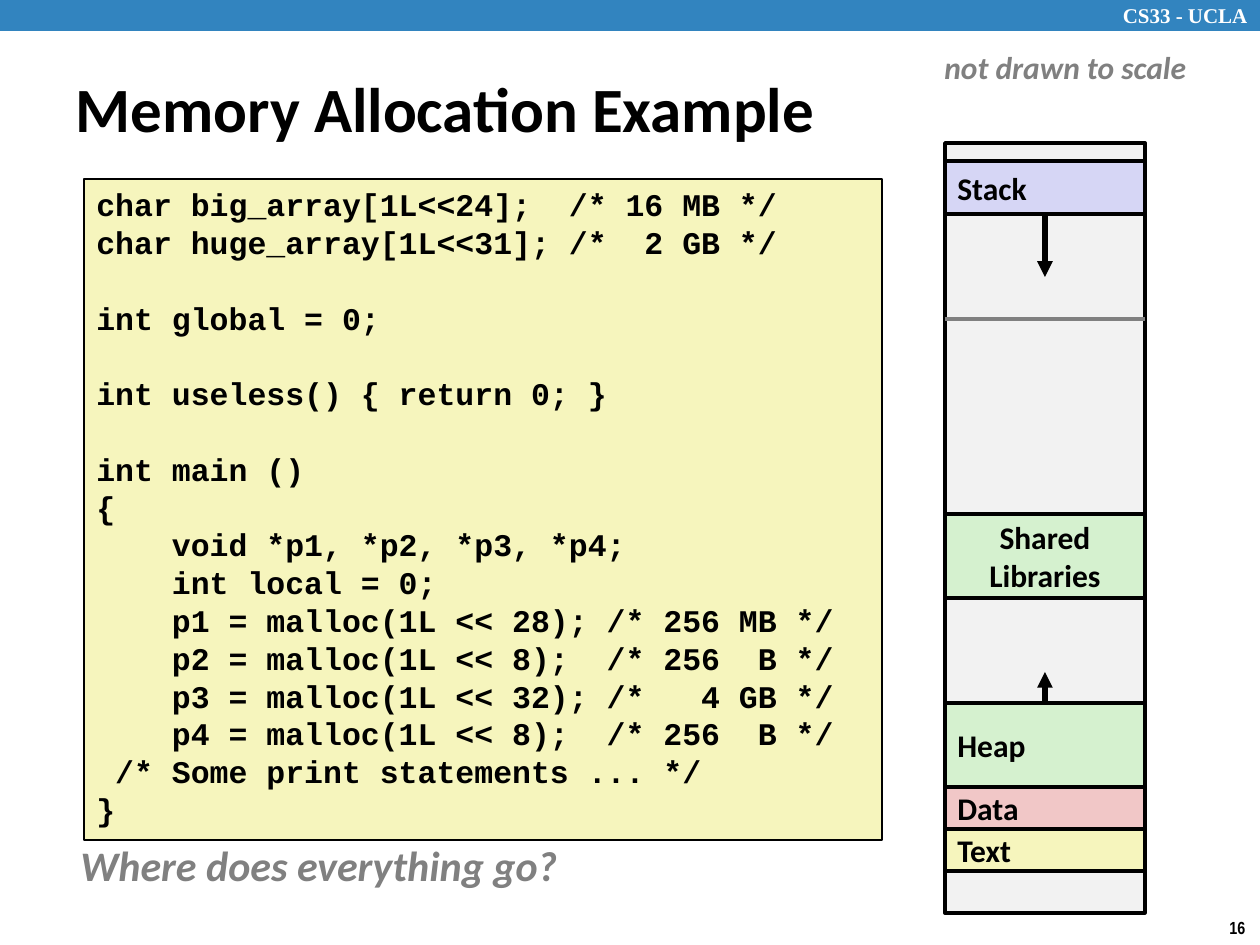
from dataclasses import dataclass

from lxml.etree import SubElement
from pptx import Presentation
from pptx.dml.color import RGBColor
from pptx.enum.shapes import MSO_CONNECTOR, MSO_SHAPE
from pptx.enum.text import MSO_ANCHOR, PP_ALIGN
from pptx.oxml.ns import qn
from pptx.util import Emu, Pt

PX = 914400 // 126


@dataclass(frozen=True)
class Theme:
    black: str = "000000"
    white: str = "FFFFFF"
    gray: str = "808080"
    blue: str = "3284BF"
    empty: str = "F2F2F2"
    lilac: str = "D6D6F5"
    yellow: str = "F6F5BD"
    pink: str = "F1C7C7"
    green: str = "D5F1CF"
    sans: str = "Calibri"
    mono: str = "Courier New"
    serif: str = "Times New Roman"
    narrow: str = "Arial Narrow"
    title: int = 36
    question: int = 24
    body: int = 18
    header: int = 12
    number: int = 10
    code_line: float = 21.6


T = Theme()


@dataclass(frozen=True)
class Box:
    x: int
    y: int
    w: int
    h: int

    def emu(self) -> list[Emu]:
        return [Emu(v * PX) for v in (self.x, self.y, self.w, self.h)]


@dataclass(frozen=True)
class Style:
    size: int = T.body
    font: str = T.sans
    color: str = T.black
    italic: bool = False


@dataclass(frozen=True)
class Segment:
    name: str
    y: int
    h: int
    fill: str
    align: PP_ALIGN = PP_ALIGN.LEFT


@dataclass(frozen=True)
class Label:
    text: str
    box: Box
    style: Style
    anchor: MSO_ANCHOR = MSO_ANCHOR.TOP
    align: PP_ALIGN = PP_ALIGN.LEFT
    wrap: bool = False


MEM_X, MEM_W = 945, 200
MEM_MID = MEM_X + MEM_W // 2
STACK_LIMIT_Y = 319
SEGMENTS = [
    Segment("", 143, 770, T.empty),
    Segment("Stack", 161, 53, T.lilac),
    Segment("Text", 829, 42, T.yellow),
    Segment("Data", 787, 42, T.pink),
    Segment("Heap", 703, 84, T.green),
    Segment("Shared\nLibraries", 514, 84, T.green, PP_ALIGN.CENTER),
]
LABELS = [
    Label("CS33 - UCLA", Box(1090, 0, 170, 31), Style(T.header, T.serif, T.white),
          MSO_ANCHOR.MIDDLE, PP_ALIGN.RIGHT, True),
    Label("16", Box(1217, 911, 43, 34), Style(T.number, T.narrow)),
    Label("not drawn to scale", Box(932, 42, 268, 50),
          Style(color=T.gray, italic=True)),
    Label("Where does everything go?", Box(68, 833, 507, 64),
          Style(T.question, color=T.gray, italic=True)),
]
CODE = """char big_array[1L<<24];  /* 16 MB */
char huge_array[1L<<31]; /*  2 GB */

int global = 0;

int useless() { return 0; }

int main ()
{
    void *p1, *p2, *p3, *p4;
    int local = 0;
    p1 = malloc(1L << 28); /* 256 MB */
    p2 = malloc(1L << 8);  /* 256  B */
    p3 = malloc(1L << 32); /*   4 GB */
    p4 = malloc(1L << 8);  /* 256  B */
 /* Some print statements ... */
}"""


def rgb(color: str) -> RGBColor:
    return RGBColor.from_string(color)


def write(tf, lines: list[str], style: Style, align=PP_ALIGN.LEFT) -> None:
    for i, line in enumerate(lines):
        p = tf.paragraphs[0] if i == 0 else tf.add_paragraph()
        p.text = line
        p.alignment = align
        f = p.font
        f.name, f.size, f.bold, f.italic = style.font, Pt(style.size), True, style.italic
        f.color.rgb = rgb(style.color)


def rect(s, box: Box, fill: str, line_pt: int = 0):
    sp = s.shapes.add_shape(MSO_SHAPE.RECTANGLE, *box.emu())
    sp.shadow.inherit = False
    sp.fill.solid()
    sp.fill.fore_color.rgb = rgb(fill)
    if line_pt:
        sp.line.color.rgb = rgb(T.black)
        sp.line.width = Pt(line_pt)
    else:
        sp.line.fill.background()
    return sp


def label(s, item: Label) -> None:
    tf = s.shapes.add_textbox(*item.box.emu()).text_frame
    tf.word_wrap = item.wrap
    tf.vertical_anchor = item.anchor
    write(tf, [item.text], item.style, item.align)


def segment(s, seg: Segment):
    sp = rect(s, Box(MEM_X, seg.y, MEM_W, seg.h), seg.fill, 2)
    if seg.name:
        tf = sp.text_frame
        tf.word_wrap = False
        tf.vertical_anchor = MSO_ANCHOR.MIDDLE
        write(tf, seg.name.split("\n"), Style(), seg.align)
    return sp


def connector(s, x1: int, y1: int, x2: int, y2: int, color: str, width: int):
    c = s.shapes.add_connector(MSO_CONNECTOR.STRAIGHT, *(Emu(v * PX) for v in (x1, y1, x2, y2)))
    c.line.color.rgb = rgb(color)
    c.line.width = Pt(width)
    SubElement(c._element.spPr, qn("a:effectLst"))
    return c


def growth_arrow(s, sp, site: int, start: int, end: int) -> None:
    c = connector(s, MEM_MID, start, MEM_MID, end, T.black, 3)
    c.begin_connect(sp, site)
    SubElement(c.line._get_or_add_ln(), qn("a:tailEnd"), type="triangle")


def code_panel(s) -> None:
    tf = rect(s, Box(84, 179, 798, 661), T.yellow, 1).text_frame
    tf.word_wrap = True
    tf.vertical_anchor = MSO_ANCHOR.TOP
    blocks = [block.split("\n") for block in CODE.split("\n\n")]
    write(tf, [line for block in blocks for line in block], Style(font=T.mono))
    for p in tf.paragraphs:
        p.line_spacing = Pt(T.code_line)
    first = 0
    for block in blocks[:-1]:
        first += len(block)
        tf.paragraphs[first].space_before = Pt(T.code_line)


def main() -> None:
    prs = Presentation()
    prs.slide_width, prs.slide_height = Emu(1260 * PX), Emu(945 * PX)
    s = prs.slides.add_slide(prs.slide_layouts[5])

    title = s.shapes.title
    title.left, title.top, title.width, title.height = Box(63, 68, 944, 79).emu()
    title.text_frame.vertical_anchor = MSO_ANCHOR.MIDDLE
    write(title.text_frame, ["Memory Allocation Example"], Style(T.title))

    rect(s, Box(0, 0, 1260, 31), T.blue)
    code_panel(s)
    for item in LABELS:
        label(s, item)

    memory = {seg.name: segment(s, seg) for seg in SEGMENTS}
    growth_arrow(s, memory["Stack"], 2, 214, 277)
    growth_arrow(s, memory["Heap"], 0, 703, 672)
    connector(s, MEM_X, STACK_LIMIT_Y, MEM_X + MEM_W, STACK_LIMIT_Y, T.gray, 2)

    prs.save("out.pptx")


if __name__ == "__main__":
    main()
